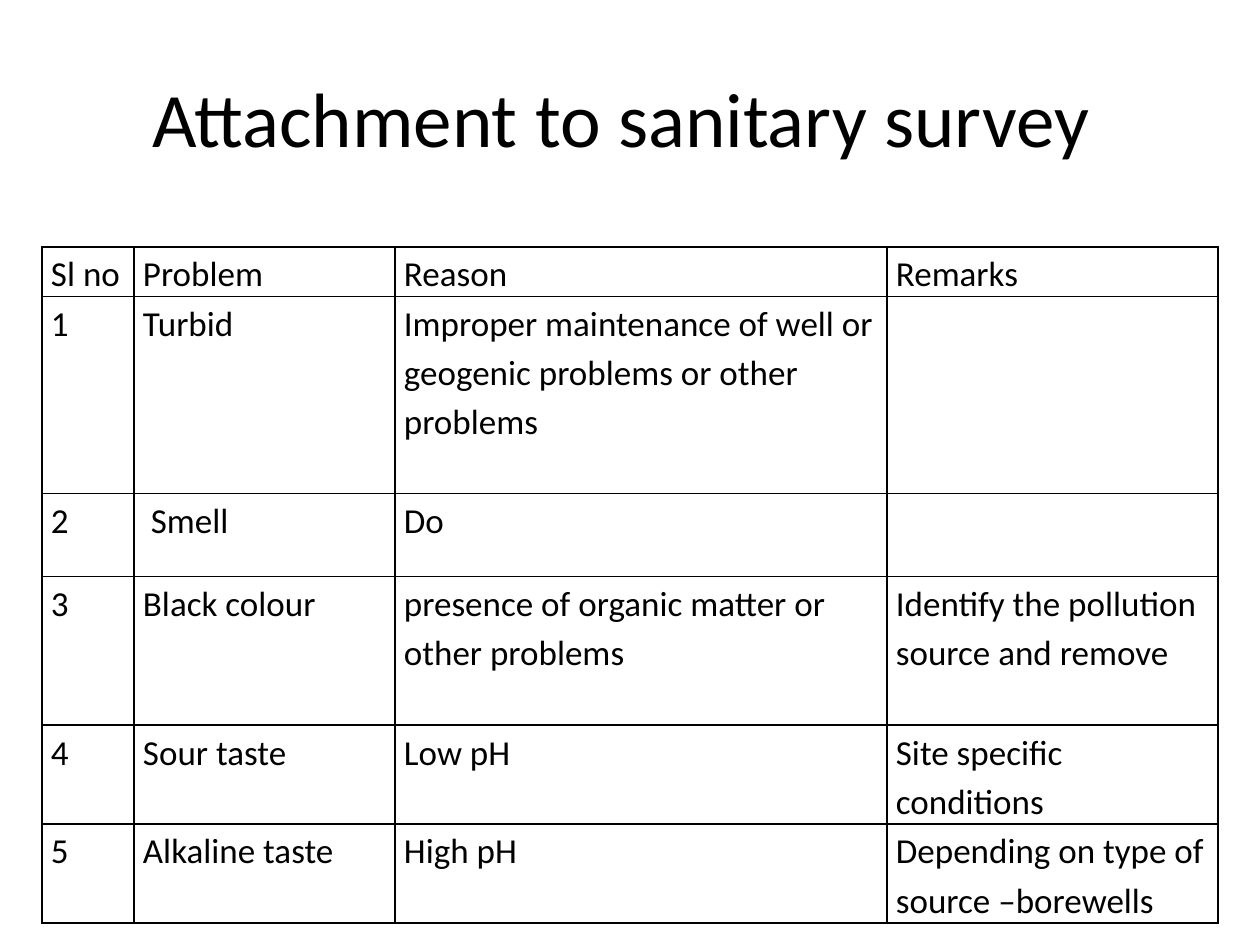
from lxml import etree
from pptx import Presentation
from pptx import util as u
from pptx.dml.color import RGBColor
from pptx.enum import text
from pptx.oxml import ns

PX = u.Inches(1) // 126


def px(length):
    return u.Emu(length * PX)


def color(value):
    return RGBColor.from_string(value)


class SlideBuilder:
    font = "Calibri"
    ink = "000000"

    def __init__(self, presentation):
        self.slide = presentation.slides.add_slide(presentation.slide_layouts[5])

    def style(self, paragraph, size):
        for run in paragraph.runs:
            run.font.name = self.font
            run.font.size = u.Pt(size)
            run.font.color.rgb = color(self.ink)

    def title(self, words, left, top, width, height):
        shape = self.slide.shapes.title
        shape.left, shape.top = px(left), px(top)
        shape.width, shape.height = px(width), px(height)
        frame = shape.text_frame
        frame.text = words
        frame.vertical_anchor = text.MSO_ANCHOR.MIDDLE
        paragraph = frame.paragraphs[0]
        paragraph.alignment = text.PP_ALIGN.CENTER
        self.style(paragraph, 44)

    def borders(self, cell):
        properties = cell._tc.get_or_add_tcPr()
        for position, side in enumerate(("lnL", "lnR", "lnT", "lnB")):
            line = etree.Element(ns.qn(f"a:{side}"), w=str(u.Pt(1)))
            fill = etree.SubElement(line, ns.qn("a:solidFill"))
            etree.SubElement(fill, ns.qn("a:srgbClr"), val=self.ink)
            properties.insert(position, line)

    def cell(self, cell, words):
        cell.margin_left = cell.margin_right = px(9)
        cell.margin_top = cell.margin_bottom = 0
        cell.fill.background()
        self.borders(cell)
        cell.text_frame.text = words
        paragraph = cell.text_frame.paragraphs[0]
        paragraph.line_spacing = 1.15
        self.style(paragraph, 20)

    def table(self, rows, left, top, widths, heights):
        frame = self.slide.shapes.add_table(
            len(rows), len(widths), px(left), px(top),
            px(sum(widths)), px(sum(heights)))
        table = frame.table
        table.first_row = table.horz_banding = False
        for column, width in zip(table.columns, widths):
            column.width = px(width)
        for row, height, entries in zip(table.rows, heights, rows):
            row.height = px(height)
            for cell, words in zip(row.cells, entries):
                self.cell(cell, words)


def main():
    presentation = Presentation()
    presentation.slide_width, presentation.slide_height = px(1260), px(945)
    builder = SlideBuilder(presentation)

    # Heading
    builder.title("Attachment to sanitary survey ", 63, 38, 1134, 157)

    # Water problems and their causes
    problems = [
        ("Sl no", "Problem", "Reason", "Remarks"),
        ("1", "Turbid", "Improper maintenance of well or geogenic problems "
         "or other problems", ""),
        ("2", " Smell", "Do", ""),
        ("3", "Black colour", "presence of organic matter or other problems",
         "Identify the pollution source and remove"),
        ("4", "Sour taste", "Low pH", "Site specific conditions"),
        ("5", "Alkaline taste", "High pH",
         "Depending on type of source –borewells"),
    ]
    builder.table(problems, 42, 247, widths=(92, 261, 492, 331),
                  heights=(49, 197, 83, 149, 99, 99))

    presentation.save("out.pptx")


if __name__ == "__main__":
    main()
